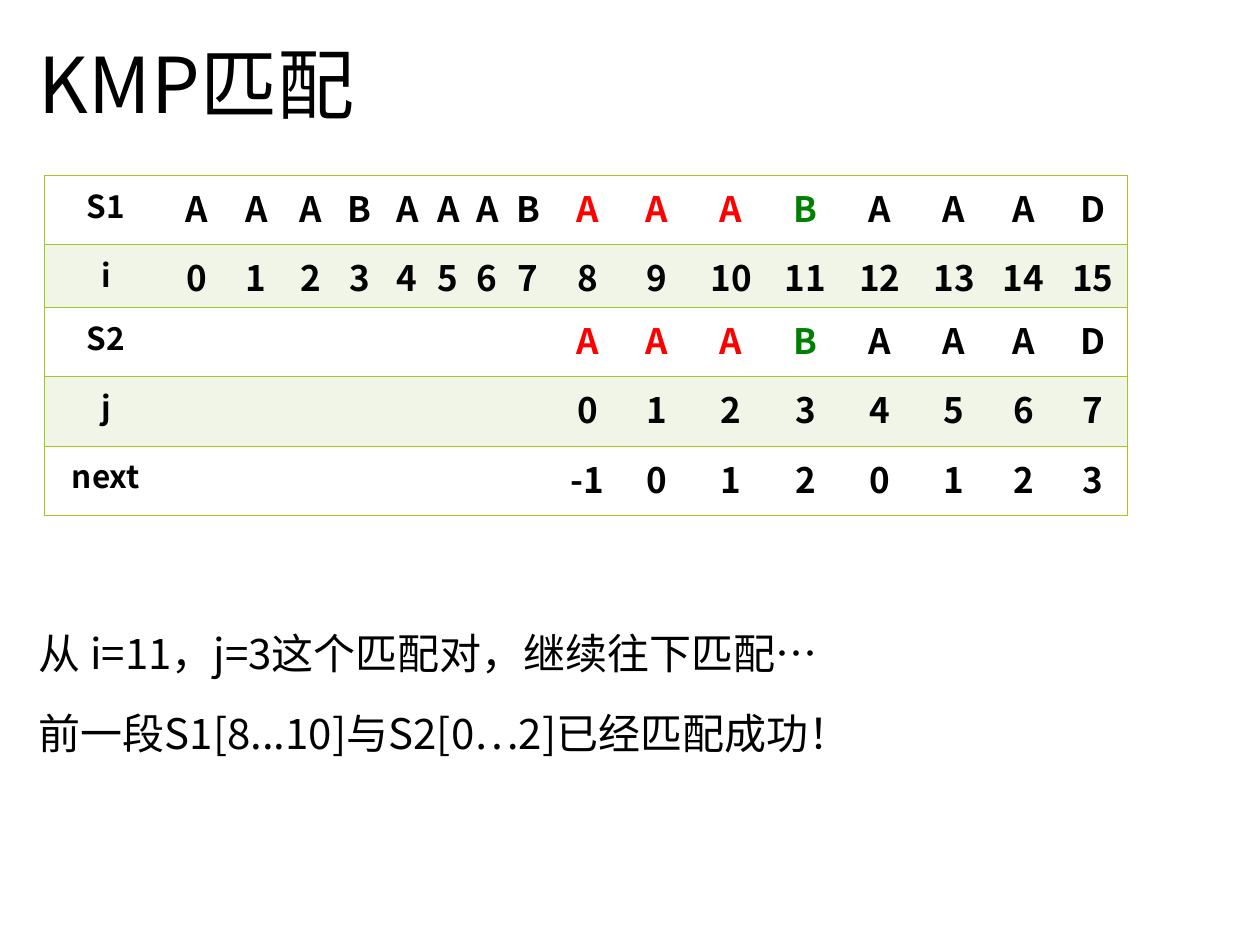
from pptx import Presentation
from pptx.dml.color import RGBColor
from pptx.enum.text import MSO_ANCHOR, PP_ALIGN
from pptx.oxml import parse_xml
from pptx.oxml.ns import nsdecls
from pptx.util import Inches, Pt

CENTER = PP_ALIGN.CENTER
LEFT = PP_ALIGN.LEFT
TOP = MSO_ANCHOR.TOP
MIDDLE = MSO_ANCHOR.MIDDLE

BLACK = RGBColor(0x00, 0x00, 0x00)
WHITE = RGBColor(0xFF, 0xFF, 0xFF)
RED = RGBColor(0xFF, 0x00, 0x00)
GREEN = RGBColor(0x00, 0x80, 0x00)
BAND = RGBColor(0xF0, 0xF5, 0xE8)
RULE = RGBColor(0xA2, 0xC7, 0x22)

FONT = "Noto Sans CJK SC"
PLAIN_TABLE = "{2D5ABB26-0587-4C30-8999-92F81FD0307C}"

COLUMN_WIDTHS = [0.98, 0.47, 0.47, 0.39, 0.39, 0.32, 0.31, 0.32, 0.39,
                 0.55, 0.55, 0.63, 0.55, 0.63, 0.55, 0.55, 0.55]
ROW_HEIGHTS = [0.55, 0.5, 0.55, 0.55, 0.55]
PATTERN = "AAABAAAD"
PATTERN_START = 9
MATCH_COLORS = {9: RED, 10: RED, 11: RED, 12: GREEN}
NEXT_VALUES = [-1, 0, 1, 2, 0, 1, 2, 3]


class SlideBuilder:
    def __init__(self, slide):
        self.slide = slide

    def fill_paragraph(self, paragraph, text, size, color=BLACK, bold=False,
                       **layout):
        for name, value in layout.items():
            setattr(paragraph, name, value)
        run = paragraph.add_run()
        run.text = text
        style = {"name": FONT, "size": Pt(size), "bold": bold}
        for name, value in style.items():
            setattr(run.font, name, value)
        run.font.color.rgb = color

    def text(self, box, lines, size, line_spacing, anchor=TOP):
        frame = self.slide.shapes.add_textbox(*map(Inches, box)).text_frame
        frame.word_wrap = True
        frame.vertical_anchor = anchor
        for index, line in enumerate(lines):
            paragraph = frame.add_paragraph() if index else frame.paragraphs[0]
            self.fill_paragraph(paragraph, line, size, alignment=LEFT,
                                line_spacing=line_spacing,
                                space_before=Pt(10 if index else 0))

    def border(self, cell, sides):
        properties = cell._tc.get_or_add_tcPr()
        for position, side in enumerate(sides):
            properties.insert(position, parse_xml(
                f'<a:{side} {nsdecls("a")} w="{Pt(0.45)}"><a:solidFill>'
                f'<a:srgbClr val="{RULE}"/></a:solidFill></a:{side}>'))

    def table(self, left, top, rows):
        last = len(COLUMN_WIDTHS) - 1
        table = self.slide.shapes.add_table(
            len(rows), len(COLUMN_WIDTHS), Inches(left), Inches(top),
            Inches(sum(COLUMN_WIDTHS)), Inches(sum(ROW_HEIGHTS))).table
        table._tbl.tblPr.find("{*}tableStyleId").text = PLAIN_TABLE
        table.first_row = False
        table.horz_banding = False
        for column, width in zip(table.columns, COLUMN_WIDTHS):
            column.width = Inches(width)
        for row, height in zip(table.rows, ROW_HEIGHTS):
            row.height = Inches(height)
        for r, (label, start, values, colors) in enumerate(rows):
            entries = {start + i: str(value) for i, value in enumerate(values)}
            entries[0] = label
            for c in range(last + 1):
                cell = table.cell(r, c)
                cell.fill.solid()
                cell.fill.fore_color.rgb = BAND if r % 2 else WHITE
                outer = {0: ["lnL"], last: ["lnR"]}.get(c, [])
                self.border(cell, outer + ["lnT", "lnB"])
                if c in entries:
                    self.fill_paragraph(
                        cell.text_frame.paragraphs[0], entries[c],
                        20 if c else 18, colors.get(c, BLACK), True,
                        alignment=CENTER)


def main():
    presentation = Presentation()
    presentation.slide_width = Inches(10)
    presentation.slide_height = Inches(7.5)
    builder = SlideBuilder(
        presentation.slides.add_slide(presentation.slide_layouts[6]))

    builder.text((0.21, -0.02, 8.62, 1.45), ["KMP匹配"], 44, 0.9, MIDDLE)
    builder.text((0.21, 4.83, 9.37, 1.5),
                 ["从 i=11，j=3这个匹配对，继续往下匹配…",
                  "前一段S1[8...10]与S2[0…2]已经匹配成功！"], 24, 1.25)
    builder.table(0.35, 1.39, [
        ("S1", 1, "AAABAAAB" + PATTERN, MATCH_COLORS),
        ("i", 1, range(16), {}),
        ("S2", PATTERN_START, PATTERN, MATCH_COLORS),
        ("j", PATTERN_START, range(len(PATTERN)), {}),
        ("next", PATTERN_START, NEXT_VALUES, {}),
    ])
    presentation.save("out.pptx")


if __name__ == "__main__":
    main()
